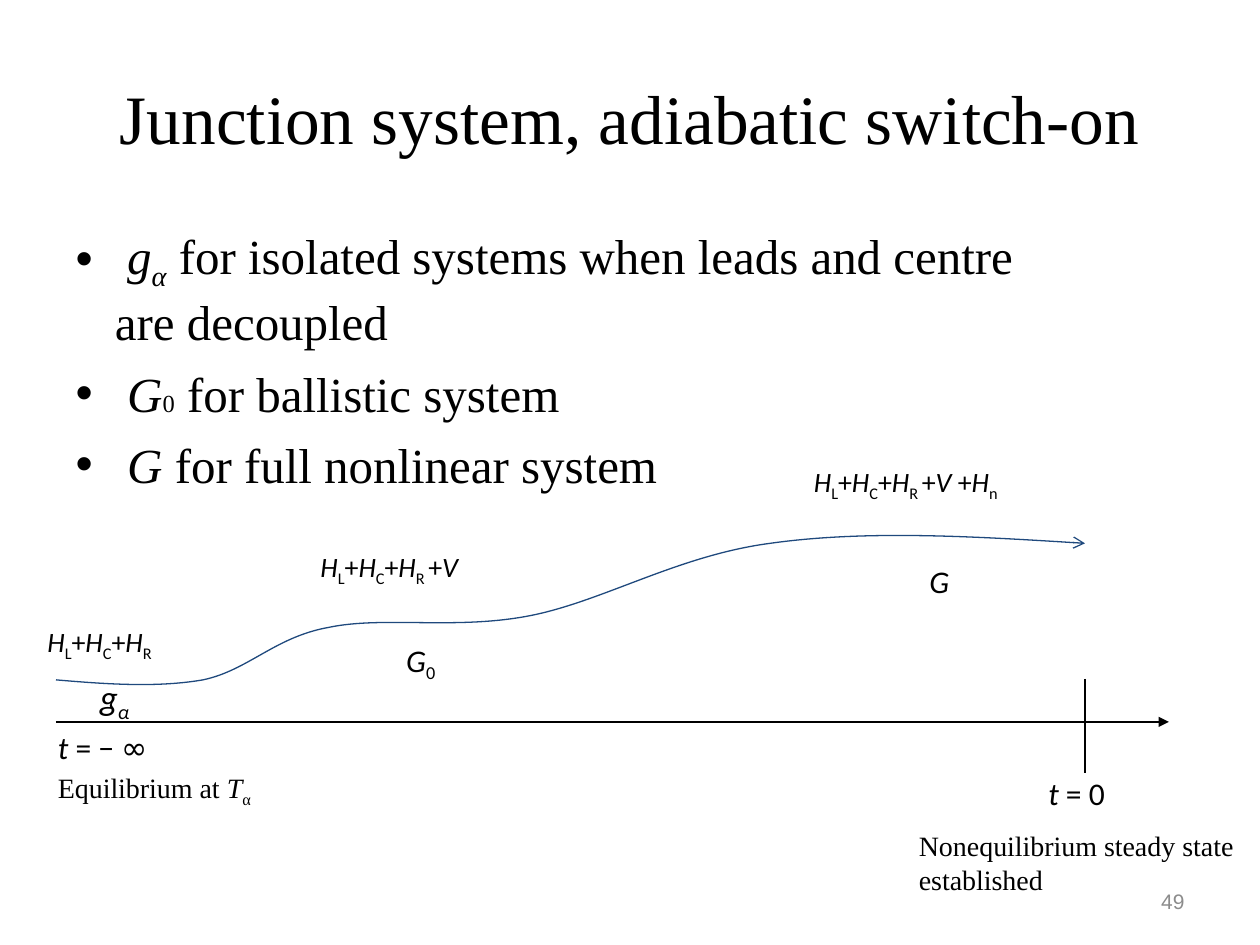
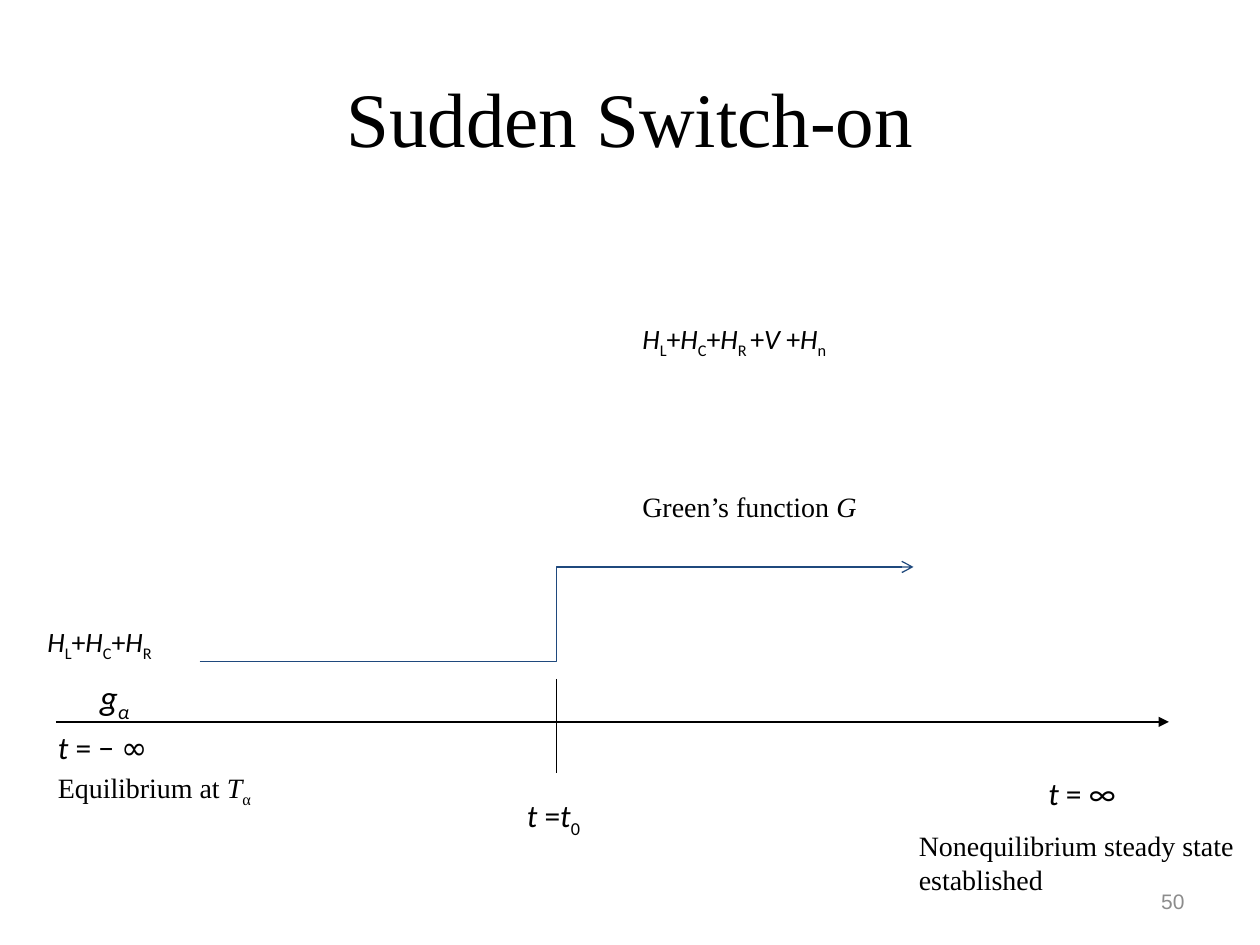
from dataclasses import dataclass

from lxml import etree
from pptx import Presentation
from pptx.dml.color import RGBColor
from pptx.enum.shapes import MSO_CONNECTOR
from pptx.enum.text import MSO_ANCHOR, MSO_AUTO_SIZE, PP_ALIGN
from pptx.oxml.ns import qn
from pptx.util import Pt

STRAIGHT, ELBOW = MSO_CONNECTOR.STRAIGHT, MSO_CONNECTOR.ELBOW
TOP, MIDDLE = MSO_ANCHOR.TOP, MSO_ANCHOR.MIDDLE
LEFT, CENTER, RIGHT = PP_ALIGN.LEFT, PP_ALIGN.CENTER, PP_ALIGN.RIGHT
NO_AUTOFIT = MSO_AUTO_SIZE.NONE


@dataclass(frozen=True)
class Theme:
    ink: RGBColor = RGBColor(0x00, 0x00, 0x00)
    curve: RGBColor = RGBColor(0x1F, 0x49, 0x7D)
    muted: RGBColor = RGBColor(0x8C, 0x8C, 0x8C)
    serif: str = "Times New Roman"
    sans: str = "Calibri"
    symbol: str = "Comic Neue"
    number_font: str = "Arial"
    title: float = 44
    long_title: float = 39.6
    bullet: float = 28
    small: float = 14
    green: float = 20
    label: float = 18
    note: float = 16
    number: float = 12
    line: float = 0.75


THEME = Theme()

# Formulas: runs of (text, style words)
ISOLATED = [("H", "italic"), ("L", "sub"), ("+", ""), ("H", "italic"), ("C", "sub"),
            ("+", ""), ("H", "italic"), ("R", "sub")]
BALLISTIC = ISOLATED + [(" ", "sub"), ("+", ""), ("V", "italic")]
NONLINEAR = BALLISTIC + [(" +", ""), ("H", "italic"), ("n", "sub")]
G_ALPHA = [("g", "italic"), ("α", "italic sub")]
G_FULL = [("G", "italic")]

# Labels: runs, left, top, width, size, font
SHARED_LABELS = [
    ([("t ", "italic"), ("= − ", ""), ("∞", "symbol")], 26, 412.5, 96, THEME.label, THEME.sans),
    (ISOLATED, 20, 353.5, 114, THEME.note, THEME.sans),
    (G_ALPHA, 50, 382.5, 45, THEME.green, THEME.sans),
    ([("Equilibrium at ", ""), ("T", "italic"), ("α", "sub")],
     26, 436.5, 150, THEME.note, THEME.serif),
    ([("Nonequilibrium steady state established", "")],
     518, 470, 202, THEME.note, THEME.serif),
]

ADIABATIC = {
    "title": "Junction system, adiabatic switch-on",
    "title_size": THEME.long_title,
    "number": "49",
    "layout": 1,
    "tick": 620,
    "bullets": [
        [(" ", ""), *G_ALPHA, (" for isolated systems when leads and centre are decoupled", "")],
        [(" ", ""), ("G", "italic"), ("0", "small"), (" for ballistic system", "")],
        [(" ", ""), *G_FULL, (" for full nonlinear system", "")],
    ],
    "labels": [
        ([("t", "italic"), (" = 0", "")], 592, 439, 66, THEME.label, THEME.sans),
        (BALLISTIC, 176, 310.5, 132, THEME.note, THEME.sans),
        (NONLINEAR, 458, 262, 168, THEME.note, THEME.sans),
        ([("G", "italic"), ("0", "sub")], 225, 362.5, 48, THEME.label, THEME.sans),
        (G_FULL, 524, 317.5, 36, THEME.label, THEME.sans),
    ],
}
SUDDEN = {
    "title": "Sudden Switch-on",
    "title_size": THEME.title,
    "number": "50",
    "layout": 5,
    "tick": 318,
    "labels": [
        ([("t", "italic"), (" = ∞", "")], 592, 439, 66, THEME.label, THEME.sans),
        (NONLINEAR, 360, 180, 168, THEME.note, THEME.sans),
        ([("Green’s function ", ""), ("G", "italic")],
         360, 276, 174, THEME.note, THEME.serif),
        ([("t ", "italic"), ("=", ""), ("t", "italic"), ("0", "sub")],
         294, 451.5, 66, THEME.label, THEME.sans),
    ],
}

# Time axis and switch-on paths
AXIS = (32, 412.5, 668, 412.5)
TICK_TOP, TICK_BOTTOM = 388, 442
SWITCH_STEP = (114, 378, 522, 324)
# Start point, then two control points and an end point per segment
SWITCH_CURVE = [
    (32, 388.5),
    (61, 391), (90, 393), (116, 388.5),
    (142, 383), (157, 364), (188, 358.5),
    (219, 352), (260, 360), (302, 352),
    (344, 344), (387, 317.5), (440, 310.5),
    (493, 303), (557, 306.5), (620, 310.5),
]


def add_runs(paragraph, runs, size, font, color=THEME.ink):
    for text, style in runs:
        run = paragraph.add_run()
        run.text = text
        run.font.name = THEME.symbol if "symbol" in style else font
        run.font.size = Pt(THEME.small if "small" in style else size)
        run.font.color.rgb = color
        run.font.italic = "italic" in style
        if "sub" in style:
            run.font._element.set("baseline", "-25000")


def place(shape, left, top, width, height, anchor):
    shape.left, shape.top = Pt(left), Pt(top)
    shape.width, shape.height = Pt(width), Pt(height)
    frame = shape.text_frame
    frame.auto_size = NO_AUTOFIT
    frame.word_wrap = True
    frame.vertical_anchor = anchor
    return frame


def add_text(slide, runs, left, top, width, size, font,
             height=29, color=THEME.ink, align=LEFT, anchor=TOP):
    box = slide.shapes.add_textbox(0, 0, 0, 0)
    paragraph = place(box, left, top, width, height, anchor).paragraphs[0]
    paragraph.alignment = align
    add_runs(paragraph, runs, size, font, color)


def style_line(shape, color, head=None):
    shape.line.color.rgb = color
    shape.line.width = Pt(THEME.line)
    if head:
        outline = shape._element.spPr.find(qn("a:ln"))
        etree.SubElement(outline, qn("a:tailEnd"), type=head)


def add_line(slide, kind, ends, color=THEME.ink, head=None):
    line = slide.shapes.add_connector(kind, *(Pt(value) for value in ends))
    style_line(line, color, head)
    etree.SubElement(line._element.spPr, qn("a:effectLst"))


def add_curve(slide, points):
    start, *rest = [(Pt(x), Pt(y)) for x, y in points]
    builder = slide.shapes.build_freeform(*start)
    builder.add_line_segments(rest, close=False)
    curve = builder.convert_to_shape()
    curve.shadow.inherit = False
    curve.fill.background()
    style_line(curve, THEME.curve, "arrow")
    # Turn each three straight steps into one Bezier segment
    outline = next(curve._element.iter(qn("a:path")))
    steps = outline.findall(qn("a:lnTo"))
    for first in range(0, len(steps), 3):
        bezier = etree.SubElement(outline, qn("a:cubicBezTo"))
        for step in steps[first:first + 3]:
            bezier.append(step[0])
            outline.remove(step)


def fill_bullets(body, bullets):
    frame = place(body, 0, 125, 612, 342, TOP)
    for index, runs in enumerate(bullets):
        paragraph = frame.paragraphs[0] if index == 0 else frame.add_paragraph()
        paragraph.level = 1
        paragraph.space_before = Pt(7 if index else 0)
        properties = paragraph._p.get_or_add_pPr()
        properties.set("marL", str(Pt(58.5)))
        properties.set("indent", str(Pt(-22.5)))
        etree.SubElement(properties, qn("a:buFont"), typeface="Arial")
        etree.SubElement(properties, qn("a:buChar"), char="•")
        add_runs(paragraph, runs, THEME.bullet, THEME.serif)


def add_timeline_slide(deck, content):
    slide = deck.slides.add_slide(deck.slide_layouts[content["layout"]])
    heading = place(slide.shapes.title, 36, 21.5, 648, 90, MIDDLE).paragraphs[0]
    heading.alignment = CENTER
    add_runs(heading, [(content["title"], "")], content["title_size"], THEME.serif)
    add_text(slide, [(content["number"], "")], 516, 500.5, 168, THEME.number,
             THEME.number_font, color=THEME.muted, align=RIGHT, anchor=MIDDLE)
    add_line(slide, STRAIGHT, AXIS, head="triangle")
    add_line(slide, STRAIGHT, (content["tick"], TICK_TOP, content["tick"], TICK_BOTTOM))
    for label in SHARED_LABELS + content["labels"]:
        add_text(slide, *label)
    return slide


def main():
    deck = Presentation()
    deck.slide_width, deck.slide_height = Pt(720), Pt(540)

    # Adiabatic switch-on
    adiabatic = add_timeline_slide(deck, ADIABATIC)
    fill_bullets(adiabatic.placeholders[1], ADIABATIC["bullets"])
    add_curve(adiabatic, SWITCH_CURVE)

    # Sudden switch-on
    sudden = add_timeline_slide(deck, SUDDEN)
    add_line(sudden, ELBOW, SWITCH_STEP, THEME.curve, "arrow")

    deck.save("out.pptx")


if __name__ == "__main__":
    main()
